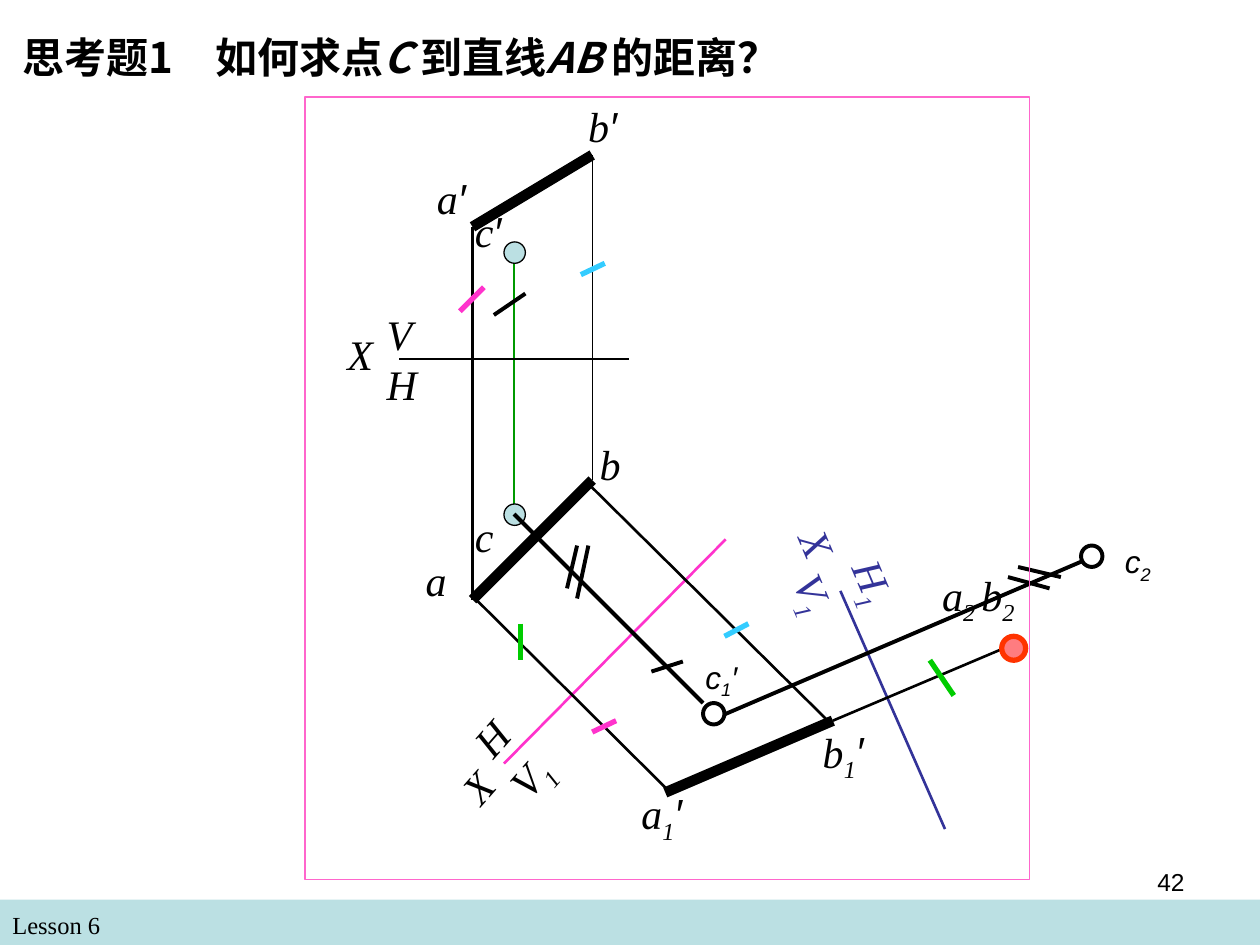
from dataclasses import dataclass
from typing import Any

from lxml.etree import SubElement
from pptx import Presentation
from pptx.dml.color import RGBColor
from pptx.enum.shapes import MSO_CONNECTOR, MSO_SHAPE
from pptx.enum.text import PP_ALIGN
from pptx.oxml.ns import qn
from pptx.util import Inches, Pt

BLACK = RGBColor(0x00, 0x00, 0x00)
WHITE = RGBColor(0xFF, 0xFF, 0xFF)
PALE_TEAL = RGBColor(0xBB, 0xE0, 0xE3)
DARK_GREEN = RGBColor(0x00, 0x99, 0x00)
GREEN = RGBColor(0x00, 0xCC, 0x00)
INDIGO = RGBColor(0x33, 0x33, 0x99)
PINK = RGBColor(0xFF, 0x33, 0xCC)
FRAME_PINK = RGBColor(0xFF, 0x66, 0xCC)
CYAN = RGBColor(0x33, 0xCC, 0xFF)
SALMON = RGBColor(0xFF, 0x7C, 0x80)
RED = RGBColor(0xFF, 0x33, 0x00)
SERIF = "Times New Roman"
SANS = "Arial"
CHINESE = "Noto Sans CJK SC"


@dataclass
class Region:
    """An area of the page whose parts are placed from its left top corner."""

    page: Any
    left: float
    top: float
    width: float
    height: float

    def point(self, x, y):
        """Return page coordinates of a point in the region."""
        return Inches(self.left + x), Inches(self.top + y)

    def line(self, start, end, color=BLACK, weight=1.5):
        """Draw a straight line without shadow."""
        connector = self.page.shapes.add_connector(
            MSO_CONNECTOR.STRAIGHT, *self.point(*start), *self.point(*end))
        connector.line.color.rgb = color
        connector.line.width = Pt(weight)
        SubElement(connector._element.spPr, qn("a:effectLst"))

    def shape(self, kind, x, y, width, height, fill=None, color=None, weight=0.75):
        """Draw a preset shape with optional fill and outline."""
        shape = self.page.shapes.add_shape(
            kind, *self.point(x, y), Inches(width), Inches(height))
        shape.shadow.inherit = False
        if fill is None:
            shape.fill.background()
        else:
            shape.fill.solid()
            shape.fill.fore_color.rgb = fill
        if color is None:
            shape.line.fill.background()
        else:
            shape.line.color.rgb = color
            shape.line.width = Pt(weight)

    def circle(self, x, y, size=0.17, fill=None, color=BLACK, weight=0.75):
        """Draw a point marker."""
        self.shape(MSO_SHAPE.OVAL, x, y, size, size, fill, color, weight)

    def text_box(self, x, y, width, height, wrap=True, align=PP_ALIGN.LEFT):
        """Add an empty text box and return its shape and paragraph."""
        box = self.page.shapes.add_textbox(
            *self.point(x, y), Inches(width), Inches(height))
        box.text_frame.word_wrap = wrap
        para = box.text_frame.paragraphs[0]
        para.alignment = align
        return box, para

    def label(self, text, x, y, width, height=0.5, size=24, font=SERIF,
              color=BLACK, angle=0, wrap=True):
        """Write a point name; parts split by | are subscripts if led by _."""
        box, para = self.text_box(x, y, width, height, wrap)
        box.rotation = angle
        for part in text.split("|"):
            span = add_span(para, part.lstrip("_"), size=size, color=color,
                            italic=True, font=SANS if part == "′" else font)
            if part.startswith("_"):
                span.font._element.set("baseline", "-25000")


def add_span(para, text, size=14, font=SERIF, color=BLACK, bold=False, italic=False):
    """Append a formatted run to a paragraph."""
    span = para.add_run()
    span.text = text
    span.font.size = Pt(size)
    span.font.name = font
    span.font.color.rgb = color
    span.font.bold = bold
    span.font.italic = italic
    if font == CHINESE:
        SubElement(span.font._element, qn("a:ea")).set("typeface", font)
    return span


def draw_footer(area):
    """Draw the footer band with the lesson name."""
    area.shape(MSO_SHAPE.RECTANGLE, 0, 0, area.width, area.height, PALE_TEAL)
    _, para = area.text_box(0, 0.03, 4.83, 0.34)
    add_span(para, "Lesson 6")


def draw_page_number(area):
    """Write the page number at the right."""
    _, para = area.text_box(0, 0, area.width, area.height, align=PP_ALIGN.RIGHT)
    add_span(para, "42", font=SANS)


def draw_title(area):
    """Write the question."""
    _, para = area.text_box(0, 0, area.width, area.height, wrap=False)
    spans = ["思考题1　如何求点", "C ", "到直线", "AB ", "的距离？"]
    for index, text in enumerate(spans):
        add_span(para, text, size=24, font=CHINESE, bold=True, italic=index % 2 == 1)


def draw_main_views(area):
    """Draw the front and top projections of line AB and point C."""
    area.label("c", 1.17, 3.5, 1.07)
    area.label("c|′", 1.17, 1.08, 0.94)
    area.line((1.58, 3.58), (1.58, 1.5), DARK_GREEN, 0.75)
    for y in (3.5, 1.42):
        area.circle(1.5, y, fill=PALE_TEAL)
    a_front, a_top = (1.25, 1.3), (1.25, 4.26)
    b_front, b_top = (2.2, 0.73), (2.2, 3.31)
    area.line(a_front, a_top)
    area.line((0.67, 2.35), (2.49, 2.35))
    area.line(a_front, b_front, weight=6)
    area.line(a_top, b_top, weight=6)
    area.line(b_top, b_front, weight=0.75)
    for text, x, y, width in [
            ("a|′", 0.87, 0.82, 0.8), ("a", 0.78, 3.85, 0.91),
            ("b|′", 2.07, 0.25, 0.8), ("b", 2.16, 2.93, 0.91),
            ("X", 0.16, 2.06, 0.67), ("V", 0.47, 1.9, 0.48), ("H", 0.47, 2.3, 0.57)]:
        area.label(text, x, y, width)
    area.line((1.34, 1.78), (1.15, 1.97), PINK, 3)
    area.line((2.11, 1.68), (2.3, 1.59), CYAN, 3)
    area.line((1.42, 2), (1.67, 1.83), weight=2.25)


def draw_first_auxiliary(area):
    """Draw the view that shows AB in true length."""
    area.line((0.5, 2.56), (2.26, 0.78), PINK)
    area.label("X", 0.04, 2.39, 0.67, angle=311.3)
    area.label("H", 0.15, 2.05, 0.59, angle=311.3)
    area.label("V|_1", 0.4, 2.24, 0.93, 0.56, angle=311.3)
    area.line((0.24, 1.22), (1.8, 2.77))
    area.line((1.19, 0.36), (3.08, 2.23))
    area.line((3.11, 2.22), (1.78, 2.79), weight=6)
    area.label("a|_1|′", 1.49, 2.7, 0.96, 0.56, angle=359.4)
    area.label("b|_1|′", 2.93, 2.21, 0.95, 0.56, angle=359.4)
    area.line((1.39, 2.22), (1.2, 2.31), PINK, 3)
    area.line((2.25, 1.55), (2.44, 1.45), CYAN, 3)
    area.line((0.63, 1.45), (0.63, 1.74), GREEN, 3)
    for start, end in [((0.58, 0.58), (2.08, 2.08)), ((1.67, 1.83), (1.92, 1.75)),
                       ((1, 1.17), (1.08, 0.83)), ((1.17, 0.83), (1.08, 1.25))]:
        area.line(start, end, weight=2.25)
    area.circle(2.08, 2.08, weight=2.25)
    area.label("c|_1|′", 2, 1.67, 0.49, 0.44, size=18, font=SANS, wrap=False)


def draw_second_auxiliary(area):
    """Draw the view that shows AB as a point."""
    area.line((1.17, 0.69), (2, 2.58), INDIGO)
    area.label("X", 0.71, 0.19, 0.67, color=INDIGO, angle=67.1)
    area.label("H|_1", 1.08, 0.45, 0.76, 0.56, color=INDIGO, angle=67.1)
    area.label("V|_1", 0.58, 0.61, 0.87, 0.56, color=INDIGO, angle=67.1)
    area.label("a|_2 |b|_2", 1.88, 0.47, 1.34, 0.56)
    area.line((1.11, 1.72), (2.55, 1.11))
    area.circle(2.45, 1.05, 0.19, SALMON, RED, 3)
    area.line((1.88, 1.24), (2.07, 1.52), GREEN, 3)
    for start, end in [((0.25, 1.67), (3.17, 0.42)), ((2.5, 0.58), (2.83, 0.67)),
                       ((2.58, 0.5), (2.92, 0.58))]:
        area.line(start, end, weight=2.25)
    area.circle(3.08, 0.33, fill=WHITE, weight=2.25)
    area.label("c|_2", 3.33, 0.25, 0.58, 0.44, size=18, font=SANS)


def draw_frame(area):
    """Outline the drawing."""
    area.shape(MSO_SHAPE.RECTANGLE, 0, 0, area.width, area.height, color=FRAME_PINK)


def main():
    """Build and save the deck."""
    deck = Presentation()
    deck.slide_width, deck.slide_height = Inches(10), Inches(7.5)
    page = deck.slides.add_slide(deck.slide_layouts[6])
    draw_footer(Region(page, 0, 7.14, 10, 0.36))
    draw_main_views(Region(page, 2.5, 0.5, 3, 4.5))
    draw_second_auxiliary(Region(page, 5.5, 4, 4, 2.6))
    draw_first_auxiliary(Region(page, 3.5, 3.5, 4, 3.3))
    draw_frame(Region(page, 2.42, 0.77, 5.75, 6.21))
    draw_title(Region(page, 0.08, 0.2, 6.84, 0.5))
    draw_page_number(Region(page, 7.17, 6.83, 2.33, 0.52))
    deck.save("out.pptx")


if __name__ == "__main__":
    main()
